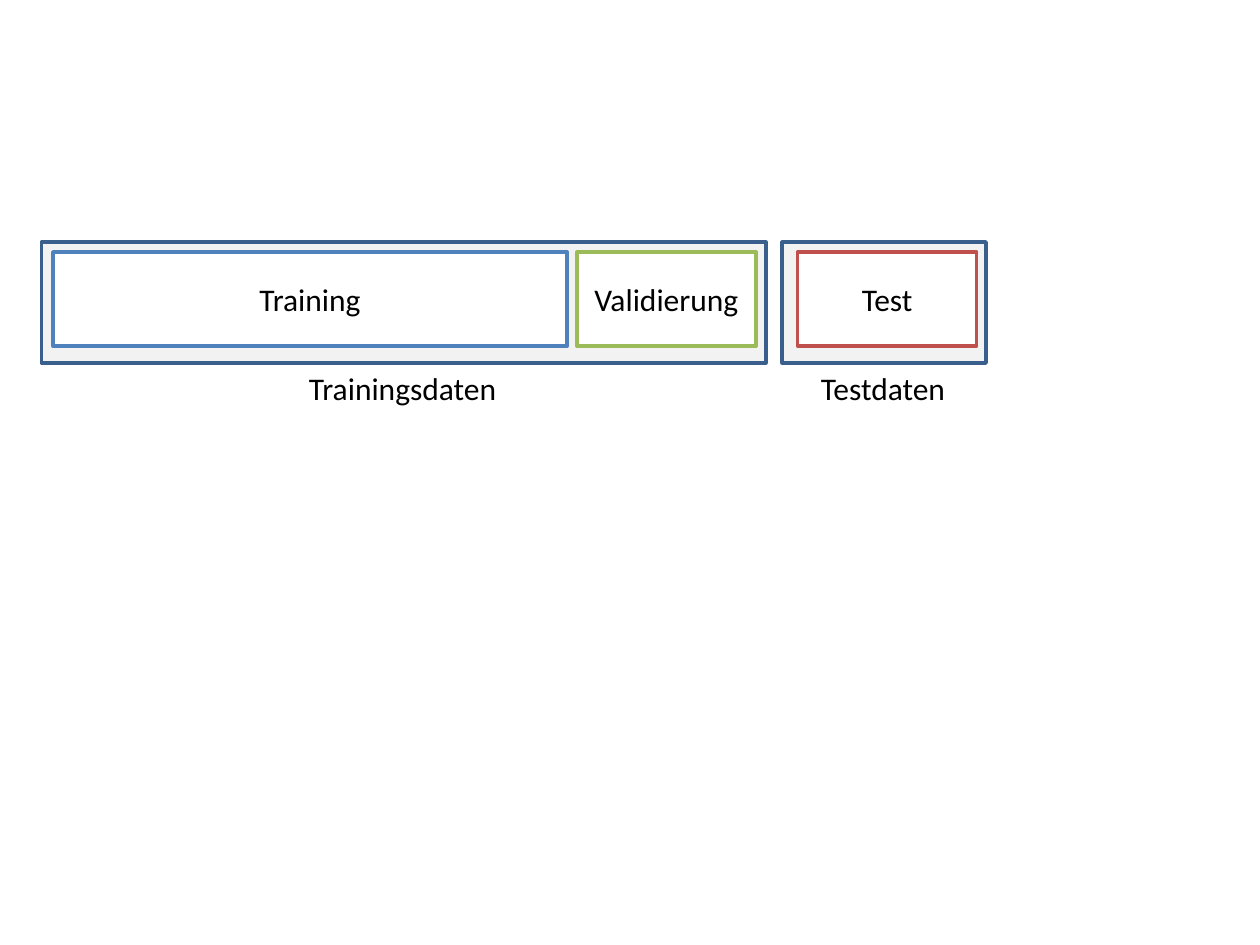
from dataclasses import dataclass

from pptx import Presentation
from pptx.dml.color import RGBColor
from pptx.enum.shapes import MSO_SHAPE
from pptx.enum.text import MSO_ANCHOR, MSO_AUTO_SIZE, PP_ALIGN
from pptx.util import Cm, Pt

RECTANGLE = MSO_SHAPE.RECTANGLE
MIDDLE = MSO_ANCHOR.MIDDLE
FIT_SHAPE = MSO_AUTO_SIZE.SHAPE_TO_FIT_TEXT
CENTER = PP_ALIGN.CENTER


@dataclass(frozen=True)
class Theme:
    font: str = "Calibri"
    size: int = 18
    line_width: int = 2
    text: str = "000000"
    panel_fill: str = "F2F2F2"
    panel_line: str = "3A5F8C"
    block_fill: str = "FFFFFF"
    training: str = "4F81BD"
    validation: str = "9BBB59"
    test: str = "C0504D"


THEME = Theme()

# Lengths in centimetres
PANEL_TOP, PANEL_HEIGHT = 4.88, 2.44
BLOCK_INSET, BLOCK_HEIGHT, BLOCK_GAP = 0.2, 1.9, 0.2
CAPTION_HEIGHT = 1.02


def add_box(slide, left, top, width, height, fill, line):
    box = slide.shapes.add_shape(RECTANGLE, Cm(left), Cm(top), Cm(width), Cm(height))
    box.shadow.inherit = False
    box.fill.solid()
    box.fill.fore_color.rgb = RGBColor.from_string(fill)
    box.line.color.rgb = RGBColor.from_string(line)
    box.line.width = Pt(THEME.line_width)
    return box


def write(frame, text):
    paragraph = frame.paragraphs[0]
    paragraph.text = text
    paragraph.font.name = THEME.font
    paragraph.font.size = Pt(THEME.size)
    paragraph.font.color.rgb = RGBColor.from_string(THEME.text)
    return paragraph


def add_dataset(slide, left, width, indent, blocks, caption, caption_width):
    """Place a panel, its row of blocks and the caption centred below it."""
    add_box(slide, left, PANEL_TOP, width, PANEL_HEIGHT,
            THEME.panel_fill, THEME.panel_line)

    # Blocks, side by side
    block_left = left + indent
    for label, block_width, color in blocks:
        block = add_box(slide, block_left, PANEL_TOP + BLOCK_INSET,
                        block_width, BLOCK_HEIGHT, THEME.block_fill, color)
        block.text_frame.word_wrap = True
        block.text_frame.vertical_anchor = MIDDLE
        write(block.text_frame, label).alignment = CENTER
        block_left += block_width + BLOCK_GAP

    # Caption
    caption_left = left + (width - caption_width) / 2
    caption_box = slide.shapes.add_textbox(
        Cm(caption_left), Cm(PANEL_TOP + PANEL_HEIGHT),
        Cm(caption_width), Cm(CAPTION_HEIGHT))
    caption_box.text_frame.word_wrap = False
    caption_box.text_frame.auto_size = FIT_SHAPE
    write(caption_box.text_frame, caption)


presentation = Presentation()
presentation.slide_width, presentation.slide_height = Cm(25.4), Cm(19.05)
slide = presentation.slides.add_slide(presentation.slide_layouts[6])

add_dataset(slide, left=15.77, width=4.11, indent=0.31,
            blocks=[("Test", 3.61, THEME.test)],
            caption="Testdaten", caption_width=3.05)
add_dataset(slide, left=0.84, width=14.6, indent=0.23,
            blocks=[("Training", 10.36, THEME.training),
                    ("Validierung", 3.61, THEME.validation)],
            caption="Trainingsdaten", caption_width=4.32)

presentation.save("out.pptx")
